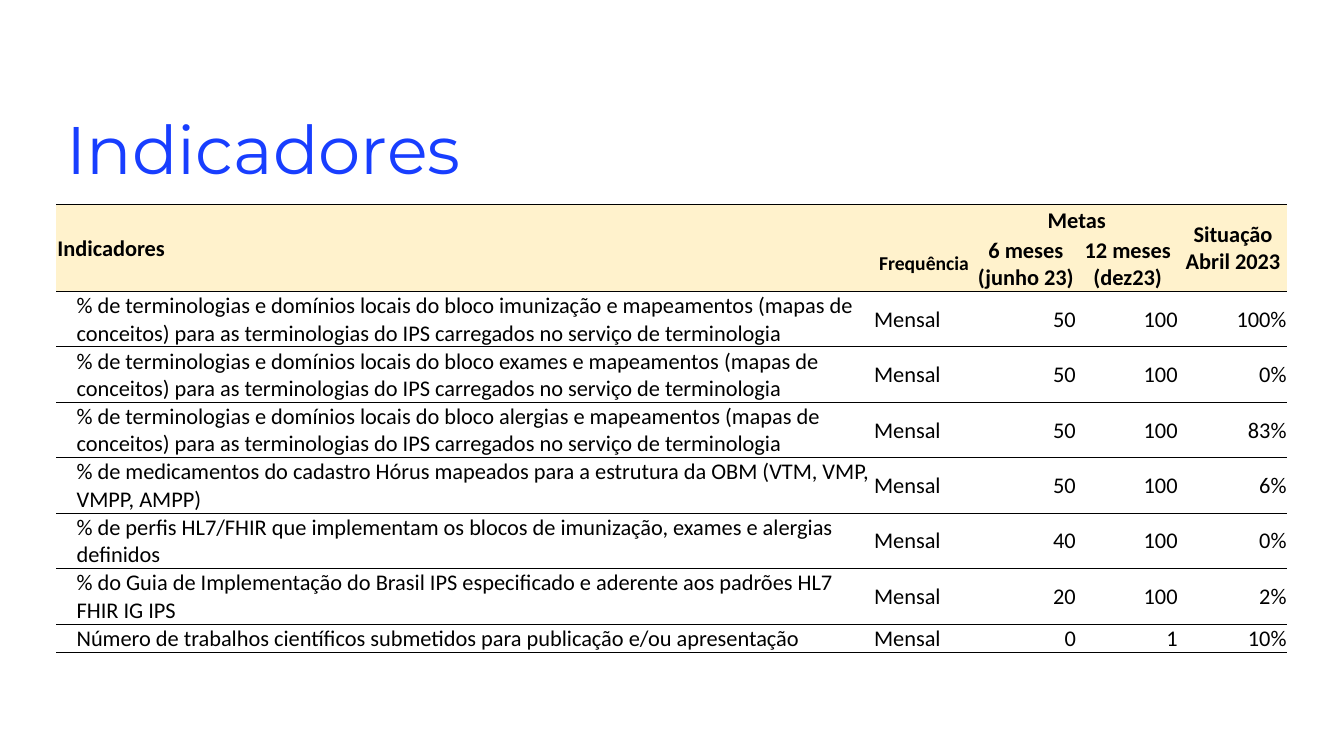
import pptx
import pptx.util
import pptx.dml.color
import pptx.enum.text
import pptx.oxml
import pptx.oxml.ns
from pptx.util import Inches

# Content
TITLE = "Indicadores"
HEADERS = [  # row, column, last row, last column, text, size
    (0, 0, 1, 0, "Indicadores", 16),
    (0, 2, 0, 3, "Metas", 16),
    (0, 4, 1, 4, "Situação Abril 2023", 16),
    (1, 1, 1, 1, "Frequência", 14),
    (1, 2, 1, 2, "6 meses (junho 23)", 16),
    (1, 3, 1, 3, "12 meses (dez23)", 16),
]
BLOCK = ("% de terminologias e domínios locais do bloco {} e mapeamentos (mapas de conceitos) "
         "para as terminologias do IPS carregados no serviço de terminologia")
INDICATORS = [
    (BLOCK.format("imunização"), "Mensal", "50", "100", "100%"),
    (BLOCK.format("exames"), "Mensal", "50", "100", "0%"),
    (BLOCK.format("alergias"), "Mensal", "50", "100", "83%"),
    ("% de medicamentos do cadastro Hórus mapeados para a estrutura da OBM (VTM, VMP, VMPP, AMPP)",
     "Mensal", "50", "100", "6%"),
    ("% de perfis HL7/FHIR que implementam os blocos de imunização, exames e alergias definidos",
     "Mensal", "40", "100", "0%"),
    ("% do Guia de Implementação do Brasil IPS especificado e aderente aos padrões HL7 FHIR IG IPS",
     "Mensal", "20", "100", "2%"),
    ("Número de trabalhos científicos submetidos para publicação e/ou apresentação",
     "Mensal", "0", "1", "10%"),
]
COLUMN_WIDTHS = [8.1, 1.01, 1.01, 1.01, 1.08]
ROW_HEIGHTS = [0.28, 0.55] + [0.55] * 6 + [0.28]

BLUE = pptx.dml.color.RGBColor(0x18, 0x3E, 0xFF)
BLACK = pptx.dml.color.RGBColor(0, 0, 0)
CREAM = pptx.dml.color.RGBColor(0xFF, 0xF2, 0xCC)
NO_STYLE = "{2D5ABB26-0587-4C30-8999-92F81FD0307C}"
LEFT, CENTER, RIGHT = (pptx.enum.text.PP_ALIGN.LEFT, pptx.enum.text.PP_ALIGN.CENTER,
                       pptx.enum.text.PP_ALIGN.RIGHT)


def write(tf, text, size=16, font="Calibri", color=BLACK, bold=False, align=LEFT, indent=0):
    p = tf.paragraphs[0]
    p.alignment = align
    if indent:
        p._p.get_or_add_pPr().set("marL", str(Inches(indent)))
    r = p.add_run()
    r.text = text
    r.font.size = pptx.util.Pt(size)
    r.font.name = font
    r.font.bold = bold
    r.font.color.rgb = color
    return p


def add_border(cell, side):
    cell._tc.get_or_add_tcPr().append(pptx.oxml.parse_xml(
        f'<a:{side} {pptx.oxml.ns.nsdecls("a")} w="6350"><a:solidFill>'
        f'<a:srgbClr val="{BLACK}"/></a:solidFill></a:{side}>'))


prs = pptx.Presentation()
prs.slide_width, prs.slide_height = Inches(13.33), Inches(7.5)
s = prs.slides.add_slide(prs.slide_layouts[6])

# Title
tf = s.shapes.add_textbox(Inches(0.56), Inches(1.11), Inches(8.73), Inches(0.65)).text_frame
tf.word_wrap = True
write(tf, TITLE, size=48, font="Montserrat", color=BLUE).line_spacing = 0.9

# Table frame
table = s.shapes.add_table(len(ROW_HEIGHTS), len(COLUMN_WIDTHS), Inches(0.56), Inches(2.03),
                           Inches(sum(COLUMN_WIDTHS)), Inches(sum(ROW_HEIGHTS))).table
table.first_row = table.horz_banding = False
table._tbl.tblPr[0].text = NO_STYLE
for column, width in zip(table.columns, COLUMN_WIDTHS):
    column.width = Inches(width)
for row, height in zip(table.rows, ROW_HEIGHTS):
    row.height = Inches(height)

# Cell margins, rules and fills
for i, row in enumerate(table.rows):
    for cell in row.cells:
        cell.margin_left = cell.margin_right = cell.margin_top = Inches(0.01)
        cell.margin_bottom = 0
        cell.vertical_anchor = pptx.enum.text.MSO_ANCHOR.MIDDLE
        if i != 1:
            add_border(cell, "lnT")
        if i != 0:
            add_border(cell, "lnB")
        if i < 2:
            cell.fill.solid()
            cell.fill.fore_color.rgb = CREAM
        else:
            cell.fill.background()

# Header text
for top, left, bottom, right, text, size in HEADERS:
    cell = table.cell(top, left)
    if (top, left) != (bottom, right):
        cell.merge(table.cell(bottom, right))
    write(cell.text_frame, text, size=size, bold=True, align=CENTER if left else LEFT)

# Indicator rows
for i, values in enumerate(INDICATORS, start=2):
    for j, text in enumerate(values):
        write(table.cell(i, j).text_frame, text, align=RIGHT if j > 1 else LEFT,
              indent=0 if j else 0.19)

prs.save("out.pptx")
